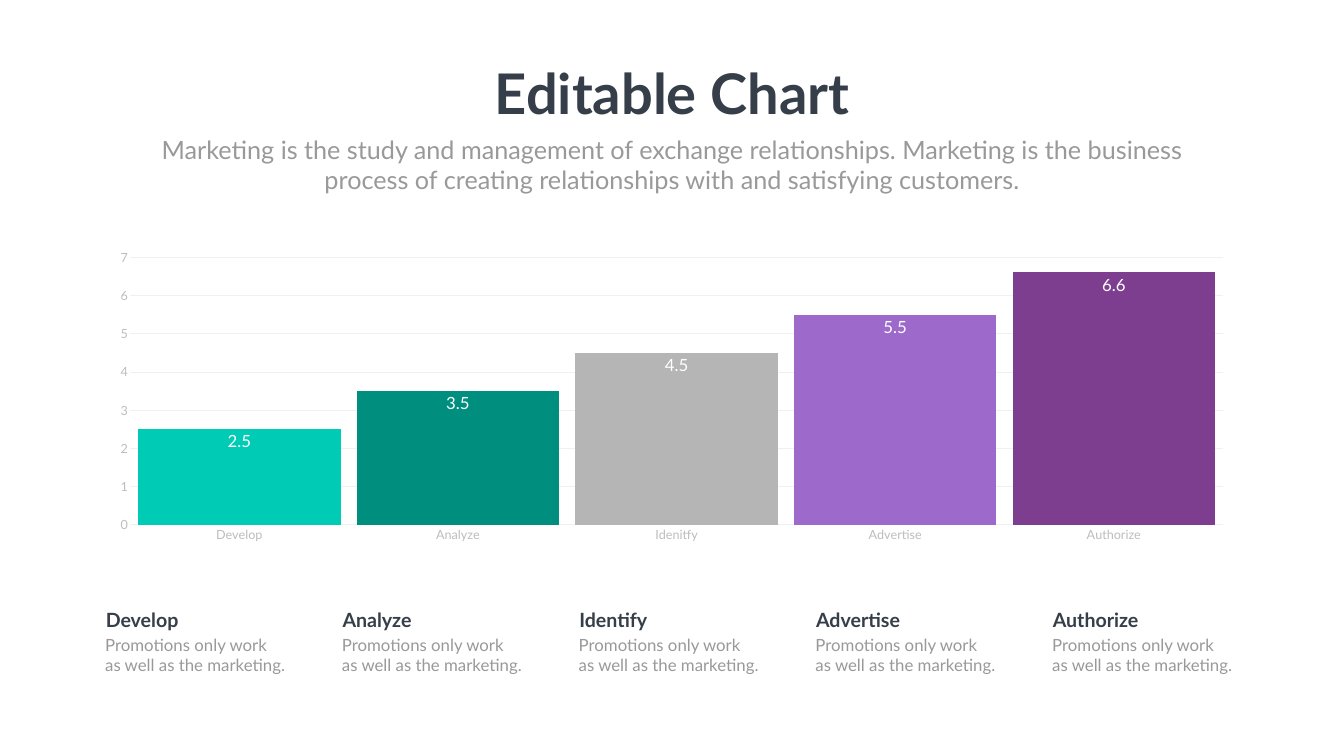
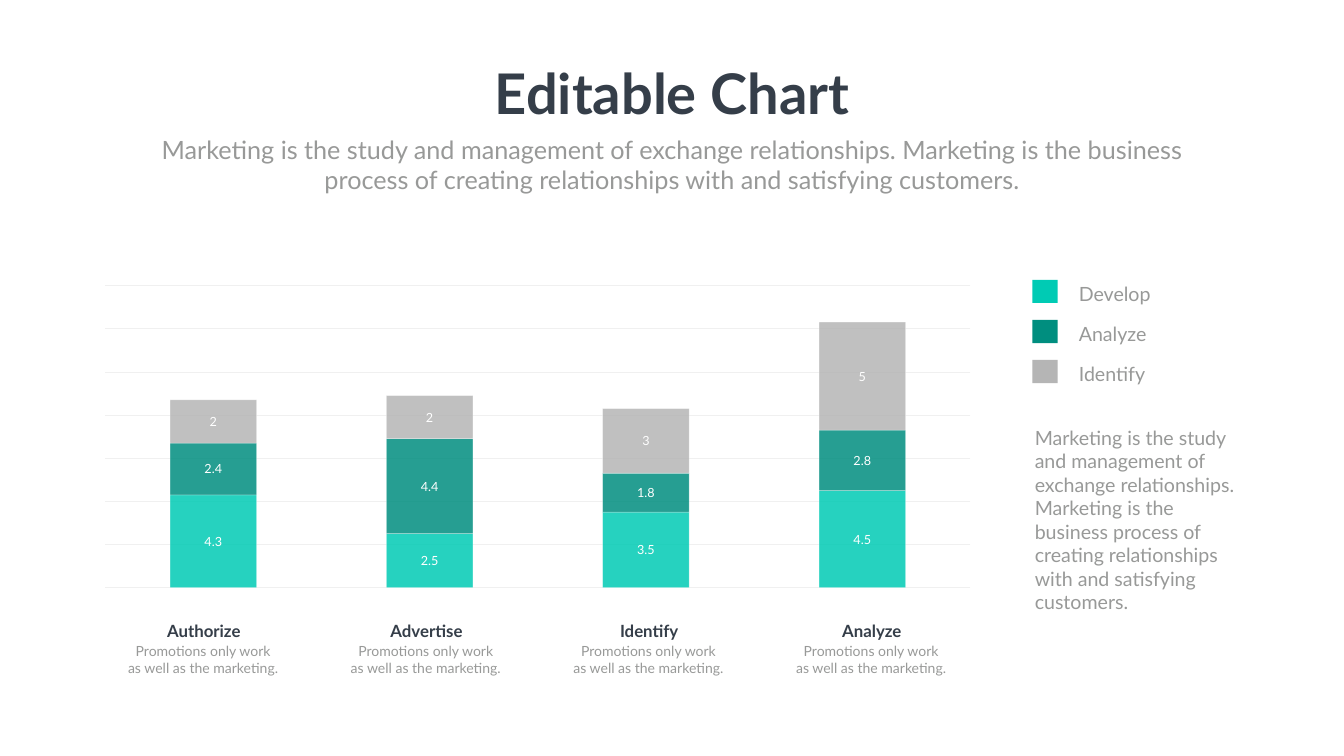
"""Build two marketing chart slides."""
from lxml import etree
from pptx import Presentation
from pptx import util as u
from pptx.chart.data import CategoryChartData
from pptx.dml.color import RGBColor
from pptx.enum import chart as ch, shapes, text
from pptx.oxml.ns import qn

FONT = "Lato"
DARK, GREY, PALE, GRID, WHITE = "353E49", "989998", "BCBDBC", "F0F0F0", "FFFFFF"
MINT, TEAL, SILVER, LILAC, PLUM = "00CBB4", "008E7F", "B5B5B5", "9D6ACC", "7E3E90"
LEFT, CENTER = text.PP_ALIGN.LEFT, text.PP_ALIGN.CENTER
TITLE_BOX = (24.51, 2.84, 18.72, 3.68)
INTRO_BOX = (7.42, 6.63, 52.88, 3.33)
INTRO = ("Marketing is the study and management of exchange relationships. "
         "Marketing is the business process of creating relationships "
         "with and satisfying customers.")
PROMOTION = ("Promotions only work", "as well as the marketing.")


def rgb(code):
    """Turn a hex string into a colour."""
    return RGBColor.from_string(code)


def cm(box):
    """Turn a box in centimetres into lengths."""
    return [u.Cm(length) for length in box]


def set_font(font, size, color, bold=False):
    """Give a font its face, size, colour and weight."""
    font.name, font.size, font.bold = FONT, u.Pt(size), bold
    font.color.rgb = rgb(color)


def write(holder, lines, size, color=GREY, bold=False, align=LEFT,
          wrap=True, spacing=None, insets=(0.25, 0.13)):
    """Fill a text holder with formatted paragraphs."""
    frame = holder.text_frame
    frame.word_wrap = wrap
    frame.auto_size = text.MSO_AUTO_SIZE.SHAPE_TO_FIT_TEXT
    frame.vertical_anchor = text.MSO_ANCHOR.TOP
    frame.margin_left = frame.margin_right = u.Cm(insets[0])
    frame.margin_top = frame.margin_bottom = u.Cm(insets[1])
    for index, line in enumerate(lines):
        paragraph = frame.add_paragraph() if index else frame.paragraphs[0]
        paragraph.alignment = align
        paragraph.space_before = u.Pt(0)
        if spacing:
            paragraph.line_spacing = u.Pt(spacing)
        run = paragraph.add_run()
        run.text = line
        set_font(run.font, size, color, bold)


def add_text(slide, box, lines, size, **style):
    """Add a text box holding formatted paragraphs."""
    write(slide.shapes.add_textbox(*cm(box)), lines, size, **style)


def add_heading_slide(deck):
    """Add a slide with the shared title and introduction."""
    slide = deck.slides.add_slide(deck.slide_layouts[0])
    title, intro = slide.shapes.title, slide.placeholders[1]
    for holder, box in ((title, TITLE_BOX), (intro, INTRO_BOX)):
        holder.left, holder.top, holder.width, holder.height = cm(box)
    write(title, ["Editable Chart"], 80, color=DARK, bold=True,
          align=CENTER, wrap=False)
    write(intro, [INTRO], 36, align=CENTER)
    return slide


def add_caption(slide, box, heading, size, heading_shift, heading_width,
                body_shift, align=LEFT):
    """Place a bold heading over the promotion lines inside a box."""
    left, top, width, height = box
    add_text(slide, (left + heading_shift, top, heading_width, body_shift + 0.1),
             [heading], size, color=DARK, bold=True, align=align)
    add_text(slide, (left, top + body_shift, width, height - body_shift),
             PROMOTION, size - 4, align=align)


def add_caption_row(slide, box, pitch, headings, **style):
    """Repeat captions from a first box at an equal pitch."""
    left, *rest = box
    for column, heading in enumerate(headings):
        add_caption(slide, (left + column * pitch, *rest), heading, **style)


def place_plot(chart, area):
    """Fix the inner plot area as fractions of the chart."""
    plot_area = chart._chartSpace.chart.plotArea
    for old in plot_area.findall(qn("c:layout")):
        plot_area.remove(old)
    layout = etree.Element(qn("c:layout"))
    manual = etree.SubElement(layout, qn("c:manualLayout"))
    settings = [("layoutTarget", "inner"), ("xMode", "edge"), ("yMode", "edge")]
    for tag, value in settings + list(zip("xywh", area)):
        etree.SubElement(manual, qn(f"c:{tag}")).set("val", str(value))
    plot_area.insert(0, layout)


def add_column_chart(slide, box, kind, categories, rows, area, gap, overlap,
                     maximum, step):
    """Add a column chart with the shared grid and font."""
    table = CategoryChartData()
    table.categories = categories
    for number, values in enumerate(rows, 1):
        table.add_series(f"Series {number}", values)
    chart = slide.shapes.add_chart(kind, *cm(box), table).chart
    chart.has_legend = chart.has_title = False
    set_font(chart.font, 18, GREY)
    plot, scale = chart.plots[0], chart.value_axis
    plot.gap_width, plot.overlap, plot.vary_by_categories = gap, overlap, False
    scale.minimum_scale, scale.maximum_scale, scale.major_unit = 0, maximum, step
    scale.has_major_gridlines = True
    grid = scale.major_gridlines.format.line
    grid.color.rgb, grid.width = rgb(GRID), u.Pt(0.75)
    place_plot(chart, area)
    return chart


def paint(part, color):
    """Fill a series, point or shape with one colour."""
    fill = part.fill
    fill.solid()
    fill.fore_color.rgb = rgb(color)


def label_values(series, size, position):
    """Show white values on a series."""
    labels = series.data_labels
    labels.show_value, labels.position = True, position
    set_font(labels.font, size, WHITE)


def add_stage_chart(slide, box):
    """Add the five rising stage columns."""
    chart = add_column_chart(
        slide, box, ch.XL_CHART_TYPE.COLUMN_CLUSTERED,
        ["Develop", "Analyze", "Idenitfy", "Advertise", "Authorize"],
        [(2.5, 3.5, 4.5, 5.5, 6.6)], (0.028, 0.045, 0.952, 0.876),
        gap=8, overlap=-27, maximum=7, step=1)
    for axis in (chart.category_axis, chart.value_axis):
        axis.major_tick_mark = axis.minor_tick_mark = ch.XL_TICK_MARK.NONE
        set_font(axis.tick_labels.font, 18, PALE)
    baseline = chart.category_axis.format.line
    baseline.color.rgb, baseline.width = rgb(GRID), u.Pt(0.75)
    chart.value_axis.format.line.fill.background()
    stages = chart.plots[0].series[0]
    paint(stages.format, MINT)
    for index, color in enumerate((TEAL, SILVER, LILAC, PLUM), 1):
        paint(stages.points[index].format, color)
    label_values(stages, 24, ch.XL_LABEL_POSITION.INSIDE_END)


def add_stacked_chart(slide, box, colors):
    """Add the translucent stacked columns."""
    rows = [(4.3, 2.5, 3.5, 4.5), (2.4, 4.4, 1.8, 2.8), (2, 2, 3, 5)]
    chart = add_column_chart(
        slide, box, ch.XL_CHART_TYPE.COLUMN_STACKED, ["1", "2", "3", "4"],
        rows, (0.02, 0.02, 0.96, 0.958),
        gap=150, overlap=100, maximum=14, step=2)
    chart.category_axis.visible = chart.value_axis.visible = False
    for series, color in zip(chart.plots[0].series, colors):
        paint(series.format, color)
        edge = series.format.line
        edge.color.rgb, edge.width = rgb(WHITE), u.Pt(0.75)
        tints = series._element.find(qn("c:spPr")).iter(qn("a:srgbClr"))
        for tint, opacity in zip(list(tints), (85, 50)):
            etree.SubElement(tint, qn("a:alpha")).set("val", str(opacity * 1000))
        label_values(series, 18, ch.XL_LABEL_POSITION.CENTER)


def add_legend(slide, box, entries):
    """Stack colour swatches with their labels in a box."""
    left, top, width, height = box
    pitch = height / len(entries)
    for row, (label, color) in enumerate(entries):
        y = top + row * pitch
        swatch = slide.shapes.add_shape(shapes.MSO_SHAPE.RECTANGLE,
                                        *cm((left, y, 1.27, 1.17)))
        swatch.shadow.inherit = False
        paint(swatch, color)
        swatch.line.fill.background()
        add_text(slide, (left + 1.73, y - 0.43, width - 1.73, 1.93), [label], 28,
                 spacing=40.8, insets=(0.61, 0.3))


def add_stage_slide(deck):
    """Build the slide of single columns with five captions."""
    slide = add_heading_slide(deck)
    add_stage_chart(slide, (4.93, 12.27, 57.86, 15.39))
    add_caption_row(slide, (5.05, 30.5, 9.91, 3.66), 11.93,
                    ["Develop", "Analyze", "Identify", "Advertise", "Authorize"],
                    size=28, heading_shift=0.03, heading_width=5.59,
                    body_shift=1.35)


def add_stacked_slide(deck):
    """Build the slide of stacked columns with legend and captions."""
    slide = add_heading_slide(deck)
    entries = [("Develop", MINT), ("Analyze", TEAL), ("Identify", SILVER)]
    add_stacked_chart(slide, (4.39, 14.07, 45.42, 15.9),
                      [color for _, color in entries])
    add_legend(slide, (52.02, 14.1, 7.17, 6.06), entries)
    add_caption_row(slide, (5.64, 31.16, 9.19, 3.04), 11.22,
                    ["Authorize", "Advertise", "Identify", "Analyze"],
                    size=24, heading_shift=2.05, heading_width=5.16,
                    body_shift=1.08, align=CENTER)
    add_text(slide, (51.89, 21.31, 11.43, 8.64), [INTRO], 28)


def main():
    """Build and save the deck."""
    deck = Presentation()
    deck.slide_width, deck.slide_height = cm((67.72, 38.1))
    add_stage_slide(deck)
    add_stacked_slide(deck)
    deck.save("out.pptx")


if __name__ == "__main__":
    main()
